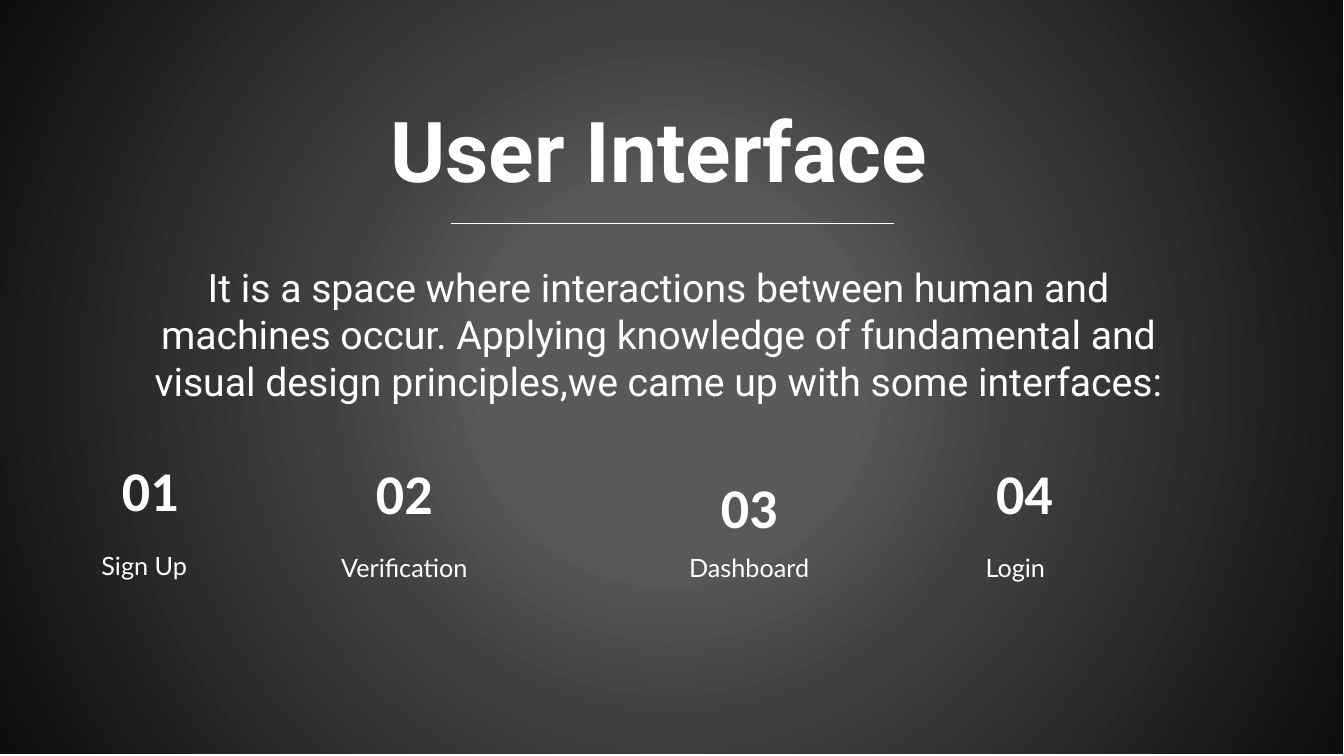
from pptx import Presentation
from pptx.dml.color import RGBColor
from pptx.enum.shapes import MSO_CONNECTOR, MSO_SHAPE
from pptx.enum.text import MSO_ANCHOR, PP_ALIGN
from pptx.oxml import parse_xml
from pptx.oxml.ns import nsdecls, qn
from pptx.util import Inches, Pt
from lxml import etree

TITLE = "User Interface"
INTRO = (
    "It is a space where interactions between human and machines occur. "
    "Applying knowledge of fundamental and visual design principles,"
    "we came up with some interfaces:"
)
STEPS = [
    ("01", 0.93, 4.42, "Sign Up", -0.13, 5.41),
    ("02", 3.45, 4.45, "Verification", 2.45, 5.43),
    ("03", 6.87, 4.59, "Dashboard", 5.87, 5.43),
    ("04", 9.6, 4.45, "Login", 8.51, 5.43),
]
BACKDROP_STOPS = [(0, "595959"), (24, "595959"), (45, "404040"), (100, "0D0D0D")]
WHITE = RGBColor(255, 255, 255)
NUMBER_SIZE = (1.12, 0.84)
LABEL_SIZE = (3.12, 0.71)


def add_backdrop(slide):
    backdrop = slide.shapes.add_shape(
        MSO_SHAPE.RECTANGLE, Inches(-0.01), Inches(-0.02), Inches(13.33), Inches(7.5)
    )
    backdrop.shadow.inherit = False
    backdrop.line.fill.background()
    backdrop.fill.background()
    stops = "".join(
        f'<a:gs pos="{percent * 1000}"><a:srgbClr val="{color}"/></a:gs>'
        for percent, color in BACKDROP_STOPS
    )
    gradient = parse_xml(
        f'<a:gradFill {nsdecls("a")} rotWithShape="1"><a:gsLst>{stops}</a:gsLst>'
        '<a:path path="circle"><a:fillToRect l="50000" t="50000" r="50000" b="50000"/>'
        "</a:path></a:gradFill>"
    )
    properties = backdrop._element.spPr
    properties.replace(properties.find(qn("a:noFill")), gradient)


def add_text(slide, text, left, top, size, font, points, bold=False):
    box = slide.shapes.add_textbox(Inches(left), Inches(top), *map(Inches, size))
    frame = box.text_frame
    frame.word_wrap = True
    paragraph = frame.paragraphs[0]
    paragraph.alignment = PP_ALIGN.CENTER
    run = paragraph.add_run()
    run.text = text
    run.font.name = font
    run.font.size = Pt(points)
    run.font.bold = bold
    run.font.color.rgb = WHITE
    return frame


def add_divider(slide):
    divider = slide.shapes.add_connector(
        MSO_CONNECTOR.STRAIGHT, Inches(4.47), Inches(2.22), Inches(8.87), Inches(2.22)
    )
    divider.line.color.rgb = WHITE
    divider.line.width = Pt(1)
    etree.SubElement(divider._element.spPr, qn("a:effectLst"))


def add_step(slide, number, number_left, number_top, label, label_left, label_top):
    frame = add_text(
        slide, number, number_left, number_top, NUMBER_SIZE, "Calibri", 40, bold=True
    )
    frame.vertical_anchor = MSO_ANCHOR.MIDDLE
    frame.margin_top = Inches(0.13)
    frame.margin_bottom = Inches(0.1)
    add_text(slide, label, label_left, label_top, LABEL_SIZE, "Lato", 18)


def main():
    deck = Presentation()
    deck.slide_width = Inches(13.33)
    deck.slide_height = Inches(7.5)
    slide = deck.slides.add_slide(deck.slide_layouts[6])
    add_backdrop(slide)
    add_text(slide, TITLE, -0.13, 0.93, (13.33, 1.11), "Roboto", 60, bold=True)
    add_divider(slide)
    add_text(slide, INTRO, 1.43, 2.56, (10.2, 1.51), "Roboto", 28)
    for step in STEPS:
        add_step(slide, *step)
    deck.save("out.pptx")


if __name__ == "__main__":
    main()
